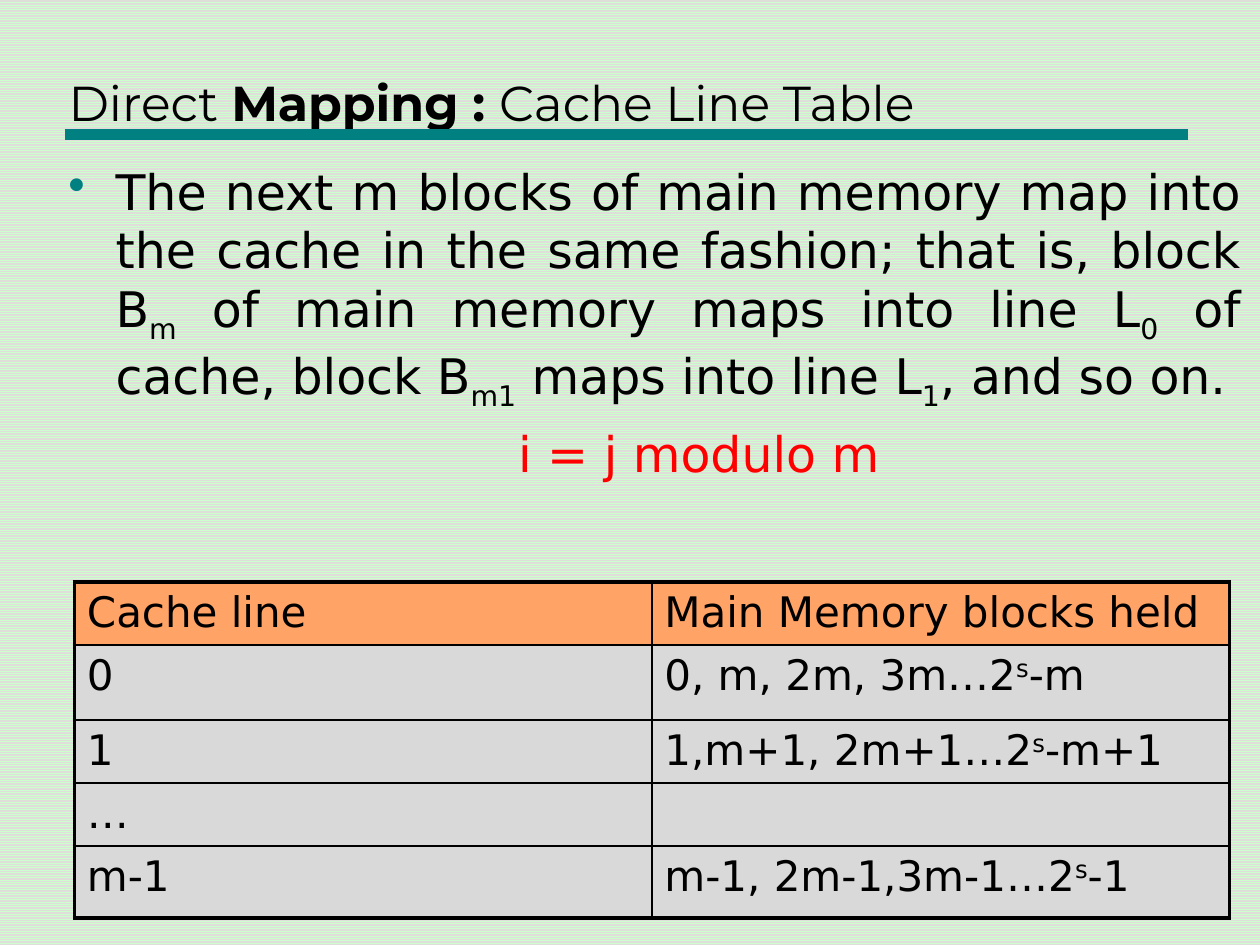
from dataclasses import dataclass
from typing import NamedTuple

from lxml.etree import SubElement
from pptx import Presentation
from pptx.dml.color import RGBColor
from pptx.enum.dml import MSO_PATTERN
from pptx.enum.shapes import MSO_CONNECTOR
from pptx.enum.text import MSO_ANCHOR, MSO_AUTO_SIZE, PP_ALIGN
from pptx.oxml import parse_xml
from pptx.oxml.ns import nsdecls, qn
from pptx.util import Pt


@dataclass(frozen=True)
class Theme:
    title_font: str = "Montserrat"
    body_font: str = "DejaVu Sans"
    text_size: float = 28
    cell_size: float = 24
    ink: str = "000000"
    teal: str = "008080"
    red: str = "FF0000"
    header: str = "FFA366"
    cell: str = "D9D9D9"
    stripe: str = "CDFFCE"
    paper: str = "E0DEDA"
    outer_line: float = 2.25
    inner_line: float = 1


class Run(NamedTuple):
    text: str
    baseline: int = 0  # percent shift: negative for subscript
    bold: bool = False


class Row(NamedTuple):
    height: float
    line: str
    blocks: list[Run]


THEME = Theme()
SUB, SUP = -25, 30

TITLE = [Run("Direct "), Run("Mapping : ", bold=True), Run("Cache Line Table")]
RULE = [
    Run("The next m blocks of main memory map into the cache in the same fashion; that is, block B"),
    Run("m", SUB), Run(" of main memory maps into line L"),
    Run("0", SUB), Run(" of cache, block B"),
    Run("m1", SUB), Run(" maps into line L"),
    Run("1", SUB), Run(", and so on."),
]
ROWS = [
    Row(36, "Cache line", [Run("Main Memory blocks held")]),
    Row(43, "0", [Run("0, m, 2m, 3m…2"), Run("s", SUP), Run("-m")]),
    Row(36, "1", [Run("1,m+1, 2m+1…2"), Run("s", SUP), Run("-m+1")]),
    Row(36, "…", []),
    Row(41, "m-1", [Run("m-1, 2m-1,3m-1…2"), Run("s", SUP), Run("-1")]),
]


def write(p, runs: list[Run], font: str, size: float, color: str = THEME.ink) -> None:
    p.font.name = font
    p.font.size = Pt(size)
    p.font.color.rgb = RGBColor.from_string(color)
    for run in runs:
        r = p.add_run()
        r.text = run.text
        if run.bold:
            r.font.bold = True
        if run.baseline:
            r._r.get_or_add_rPr().set("baseline", str(run.baseline * 1000))


def indent(p, left: float, first: float = 0) -> None:
    pPr = p._p.get_or_add_pPr()
    pPr.set("marL", str(Pt(left)))
    pPr.set("indent", str(Pt(first)))


def add_bullet(p, color: str) -> None:
    pPr = p._p.get_or_add_pPr()
    marks = (f'<a:buClr {nsdecls("a")}><a:srgbClr val="{color}"/></a:buClr>',
             f'<a:buChar {nsdecls("a")} char="•"/>')
    for i, mark in enumerate(marks):
        pPr.insert(i, parse_xml(mark))


def set_borders(cell, widths: dict[str, float]) -> None:
    tcPr = cell._tc.get_or_add_tcPr()
    for i, (side, width) in enumerate(widths.items()):
        tcPr.insert(i, parse_xml(
            f'<a:ln{side} {nsdecls("a")} w="{Pt(width)}"><a:solidFill>'
            f'<a:srgbClr val="{THEME.ink}"/></a:solidFill></a:ln{side}>'))


def add_title(slide) -> None:
    sp = slide.shapes.title
    sp.left, sp.top, sp.width, sp.height = Pt(32), Pt(12), Pt(646), Pt(66.5)
    tf = sp.text_frame
    tf.auto_size = MSO_AUTO_SIZE.NONE
    tf.vertical_anchor = MSO_ANCHOR.BOTTOM
    p = tf.paragraphs[0]
    p.alignment = PP_ALIGN.LEFT
    write(p, TITLE, THEME.title_font, THEME.text_size)


def add_rule_line(slide) -> None:
    line = slide.shapes.add_connector(MSO_CONNECTOR.STRAIGHT, Pt(37), Pt(77), Pt(679), Pt(77))
    line.line.width = Pt(6)
    line.line.color.rgb = RGBColor.from_string(THEME.teal)
    SubElement(line._element.spPr, qn("a:effectLst"))


def add_body(slide) -> None:
    tf = slide.shapes.add_textbox(Pt(32), Pt(88.5), Pt(684), Pt(451.5)).text_frame
    tf.word_wrap = True
    p = tf.paragraphs[0]
    p.alignment = PP_ALIGN.JUSTIFY
    write(p, RULE, THEME.body_font, THEME.text_size)
    indent(p, 27, -27)
    add_bullet(p, THEME.teal)

    # Mapping formula
    p = tf.add_paragraph()
    p.space_before = Pt(6)
    write(p, [Run("i = j modulo m")], THEME.body_font, THEME.text_size, THEME.red)
    indent(p, 257)


def add_cache_table(slide) -> None:
    height = sum(row.height for row in ROWS)
    table = slide.shapes.add_table(len(ROWS), 2, Pt(42.5), Pt(332.5), Pt(660), Pt(height)).table
    outer, inner = THEME.outer_line, THEME.inner_line
    for i, row in enumerate(ROWS):
        table.rows[i].height = Pt(row.height)
        for j, runs in enumerate(([Run(row.line)], row.blocks)):
            cell = table.cell(i, j)
            cell.fill.solid()
            cell.fill.fore_color.rgb = RGBColor.from_string(THEME.cell if i else THEME.header)
            set_borders(cell, {
                "L": inner if j else outer,
                "R": outer if j else inner,
                "T": inner if i else outer,
                "B": outer if i == len(ROWS) - 1 else inner,
            })
            p = cell.text_frame.paragraphs[0]
            p.font.bold = False
            write(p, runs, THEME.body_font, THEME.cell_size)


def main() -> None:
    prs = Presentation()
    prs.slide_width, prs.slide_height = Pt(720), Pt(540)
    slide = prs.slides.add_slide(prs.slide_layouts[5])

    # Striped background
    fill = slide.background.fill
    fill.patterned()
    fill.pattern = MSO_PATTERN.LIGHT_HORIZONTAL
    fill.fore_color.rgb = RGBColor.from_string(THEME.stripe)
    fill.back_color.rgb = RGBColor.from_string(THEME.paper)

    add_rule_line(slide)
    add_title(slide)
    add_body(slide)
    add_cache_table(slide)
    prs.save("out.pptx")


if __name__ == "__main__":
    main()
